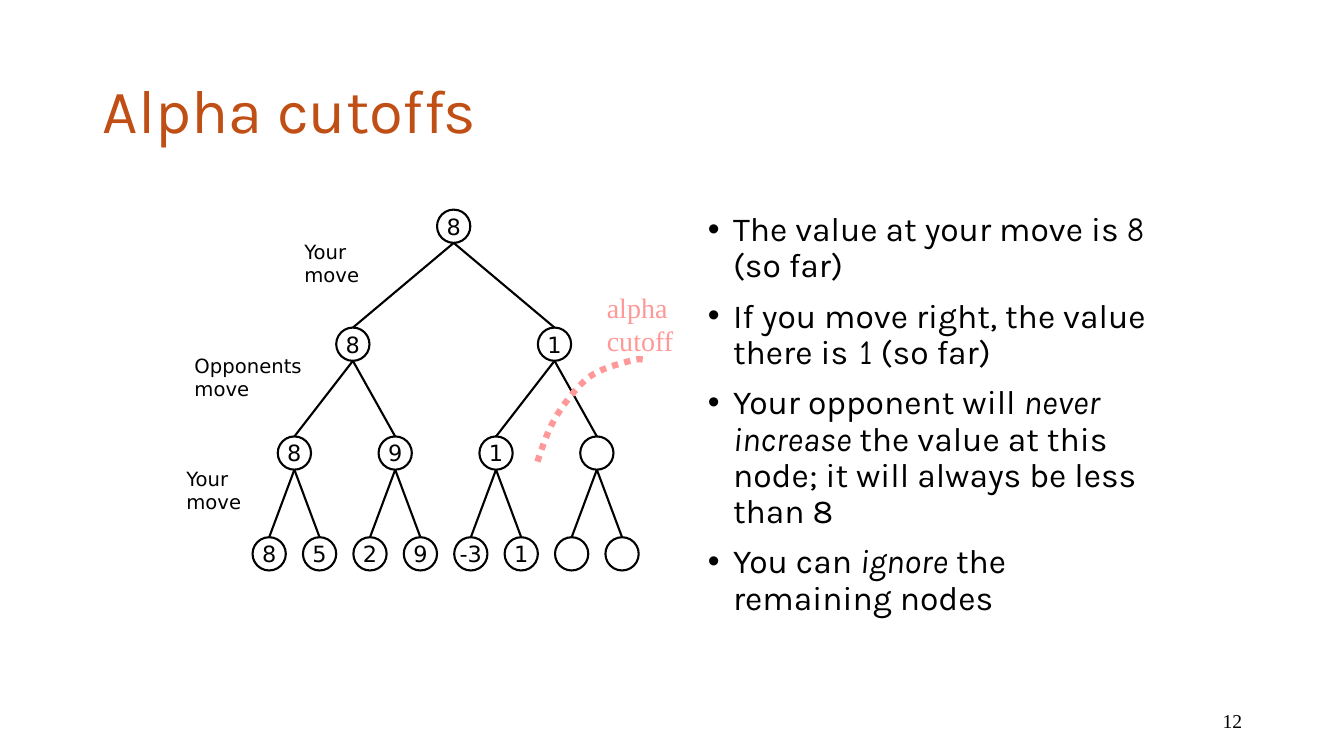
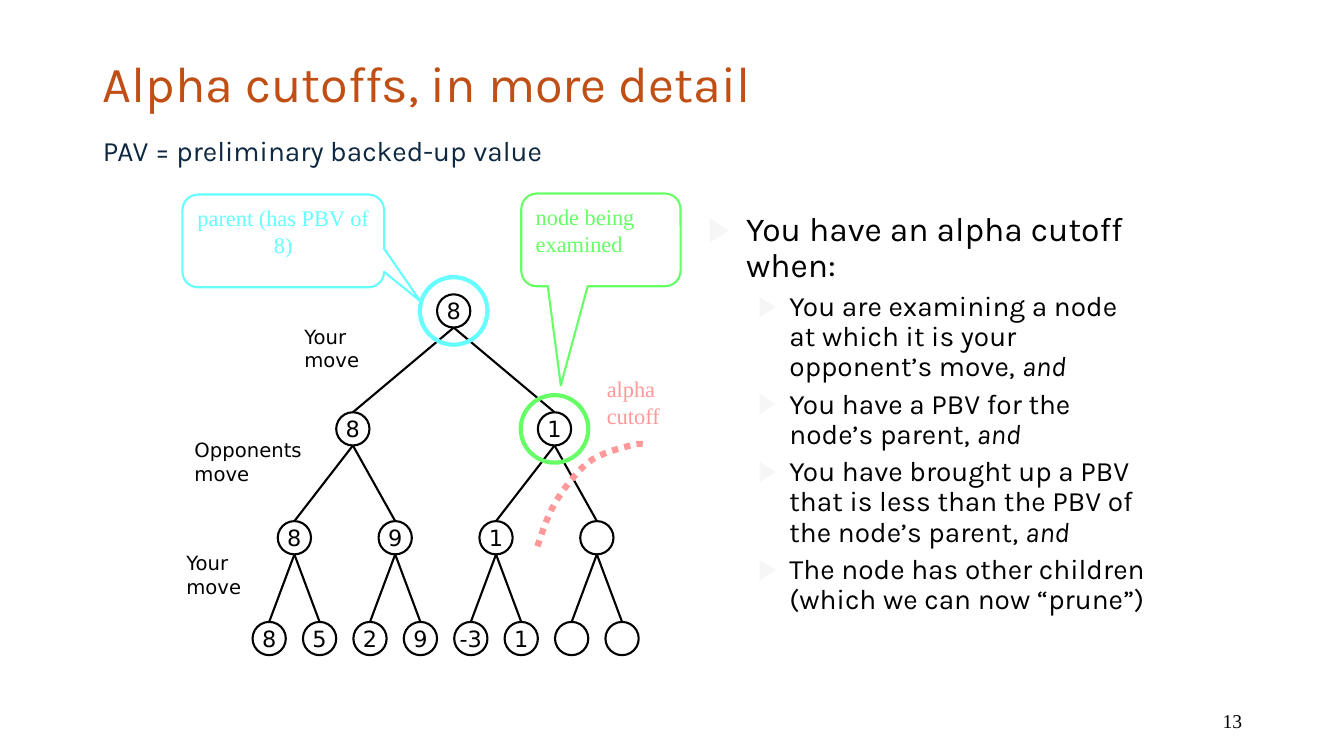
"""Build two slides on alpha cutoffs in a game tree."""
from dataclasses import dataclass
from lxml import etree
from pptx import Presentation
from pptx.dml.color import RGBColor
from pptx.enum import dml, shapes, text
from pptx.oxml import ns
from pptx.util import Inches, Pt


@dataclass(frozen=True)
class Theme:
    ink: str = "000000"
    title: str = "C04F15"
    subtitle: str = "0E2841"
    faint: str = "F6F6F6"
    cutoff: str = "FF9999"
    examined: str = "66FF66"
    parent: str = "66FFFF"
    sans: str = "Karla"
    hand: str = "Comic Neue"
    diagram: str = "DejaVu Sans"
    serif: str = "Times New Roman"
    subtitle_size: int = 20
    body_sizes: tuple = (24, 20)
    node_size: int = 16
    label_size: int = 14
    note_size: int = 16
    thin: float = 1.5
    ring: float = 3
    dotted: float = 4.5


THEME = Theme()
TITLE_BOX = (0.92, 0.4, 11.5, 1.45)
BODY_BOX = (6.92, 2.06, 4.58, 4.56)
NUMBER_BOX = (9.42, 6.95, 3, 0.4)
NODE = 0.33
RING = 0.67

LEVELS = [
    {"drop": 0, "first": 4.5, "gap": 0, "values": ["8"]},
    {"drop": 1.17, "first": 3.5, "gap": 2, "values": ["8", "1"]},
    {"drop": 2.25, "first": 2.92, "gap": 1, "values": ["8", "9", "1", ""]},
    {"drop": 3.25, "first": 2.67, "gap": 0.5,
     "values": ["8", "5", "2", "9", "-3", "1", "", ""]},
]
MOVES = [
    ("Your\nmove", 2.92, 0.25, 1),
    ("Opponents\nmove", 1.83, 1.38, 1.75),
    ("Your\nmove", 1.75, 2.5, 1),
]
CUTOFF_START = (5.33, 2.5)
CUTOFF_CURVES = [
    ((5.38, 2.36), (5.42, 2.22), (5.5, 2.08)),
    ((5.58, 1.94), (5.71, 1.77), (5.83, 1.67)),
    ((5.96, 1.57), (6.15, 1.53), (6.25, 1.5)),
    ((6.35, 1.47), (6.38, 1.49), (6.42, 1.5)),
]
CALLOUTS = [
    {"text": "node being examined", "box": (5.17, 1.92, 1.58, 0.92),
     "tail": (-0.252, 1.568, 0.167), "color": THEME.examined,
     "align": text.PP_ALIGN.LEFT, "node": (1, 1)},
    {"text": "parent (has PBV of 8)", "box": (1.81, 1.93, 2, 0.92),
     "tail": (0.68, 0.651, 0.167), "color": THEME.parent,
     "align": text.PP_ALIGN.CENTER, "node": (0, 0)},
]
DOTS = {"char": "•", "color": THEME.ink, "indents": [(0.25, 0.25)]}
ARROWS = {"char": "▶", "color": THEME.faint, "indents": [(0.38, 0.38), (0.81, 0.31)]}
SLIDES = [
    {
        "title": "Alpha cutoffs", "title_size": 44, "subtitle": "", "number": "12",
        "tree_top": 2.08, "cutoff_size": 20, "callouts": [], "bullets": DOTS,
        "body": [
            (0, [("The value at your move is ", ""), ("8", "hand"), (" (so far)", "")]),
            (0, [("If you move right, the value there is", ""), (" 1", "hand"),
                 (" (so far)", "")]),
            (0, [("Your opponent will ", ""), ("never increase", "italic"),
                 (" the value at this node; it will always be less than 8", "")]),
            (0, [("You can ", ""), ("ignore", "italic"), (" the remaining nodes", "")]),
        ],
    },
    {
        "title": "Alpha cutoffs, in more detail", "title_size": 36,
        "subtitle": "PAV = preliminary backed-up value", "number": "13",
        "tree_top": 2.92, "cutoff_size": 16, "callouts": CALLOUTS, "bullets": ARROWS,
        "body": [
            (0, [("You have an alpha cutoff when:", "")]),
            (1, [("You are examining a node at which it is your opponent’s move, ", ""),
                 ("and", "italic")]),
            (1, [("You have a PBV for the node’s parent, ", ""), ("and", "italic")]),
            (1, [("You have brought up a PBV that is less than the PBV of the node’s parent, ", ""),
                 ("and", "italic")]),
            (1, [("The node has other children (which we can now “prune”)", "")]),
        ],
    },
]


def inches(values):
    return [Inches(value) for value in values]


def style_run(run, size, face, color, italic=False):
    run.font.size = Pt(size)
    run.font.name = face
    run.font.color.rgb = RGBColor.from_string(color)
    run.font.italic = italic


def write(paragraph, words, size, face, color, align=text.PP_ALIGN.LEFT):
    paragraph.text = words
    paragraph.alignment = align
    for run in paragraph.runs:
        style_run(run, size, face, color)


def stroke(item, color, width):
    item.line.color.rgb = RGBColor.from_string(color)
    item.line.width = Pt(width)


def place(placeholder, box):
    placeholder.left, placeholder.top, placeholder.width, placeholder.height = inches(box)
    placeholder.text_frame.auto_size = text.MSO_AUTO_SIZE.NONE
    return placeholder.text_frame


def outline(group, kind, box, color, width):
    shape = group.shapes.add_shape(kind, *inches(box))
    shape.shadow.inherit = False
    shape.fill.background()
    stroke(shape, color, width)
    return shape


def circle(group, center, size, color, width):
    x, y = center
    box = (x - size / 2, y - size / 2, size, size)
    return outline(group, shapes.MSO_SHAPE.OVAL, box, color, width)


def label(parent, words, box, size, face, color, align=text.PP_ALIGN.LEFT):
    frame = parent.shapes.add_textbox(*inches(box)).text_frame
    frame.word_wrap = True
    write(frame.paragraphs[0], words, size, face, color, align)
    return frame


def add_title(slide, content):
    frame = place(slide.shapes.title, TITLE_BOX)
    frame.vertical_anchor = text.MSO_ANCHOR.MIDDLE
    write(frame.paragraphs[0], content["title"], content["title_size"],
          THEME.sans, THEME.title)
    if content["subtitle"]:
        subtitle = frame.add_paragraph()
        write(subtitle, content["subtitle"], THEME.subtitle_size, THEME.sans, THEME.subtitle)
        subtitle.space_before = Pt(17)
    for paragraph in frame.paragraphs:
        paragraph.line_spacing = 0.9


def add_bullet(paragraph, bullets, level):
    margin, hanging = bullets["indents"][level]
    properties = paragraph._p.get_or_add_pPr()
    properties.set("marL", str(Inches(margin)))
    properties.set("indent", str(-Inches(hanging)))
    tint = etree.SubElement(properties, ns.qn("a:buClr"))
    etree.SubElement(tint, ns.qn("a:srgbClr"), val=bullets["color"])
    etree.SubElement(properties, ns.qn("a:buFont"), typeface="Arial")
    etree.SubElement(properties, ns.qn("a:buChar"), char=bullets["char"])


def add_body(slide, content):
    frame = place(slide.placeholders[1], BODY_BOX)
    for index, (level, parts) in enumerate(content["body"]):
        paragraph = frame.add_paragraph() if index else frame.paragraphs[0]
        paragraph.level = level
        paragraph.line_spacing = 0.9
        paragraph.space_before = Pt((10, 5)[level] if index else 0)
        add_bullet(paragraph, content["bullets"], level)
        for words, style in parts:
            run = paragraph.add_run()
            run.text = words
            face = THEME.hand if style == "hand" else THEME.sans
            style_run(run, THEME.body_sizes[level], face, THEME.ink, style == "italic")


def node_center(level, index, top):
    row = LEVELS[level]
    return row["first"] + index * row["gap"], top + NODE / 2 + row["drop"]


def add_node(group, center, value):
    node = circle(group, center, NODE, THEME.ink, THEME.thin)
    if value:
        frame = node.text_frame
        frame.word_wrap = False
        frame.vertical_anchor = text.MSO_ANCHOR.MIDDLE
        write(frame.paragraphs[0], value, THEME.node_size, THEME.diagram, THEME.ink,
              text.PP_ALIGN.CENTER)


def add_edge(group, above, below):
    ends = inches((above[0], above[1] + NODE / 2, below[0], below[1] - NODE / 2))
    edge = group.shapes.add_connector(shapes.MSO_CONNECTOR.STRAIGHT, *ends)
    stroke(edge, THEME.ink, THEME.thin)
    etree.SubElement(edge._element.spPr, ns.qn("a:effectLst"))


def add_tree(slide, top):
    group = slide.shapes.add_group_shape()
    for level, row in enumerate(LEVELS):
        for index, value in enumerate(row["values"]):
            center = node_center(level, index, top)
            add_node(group, center, value)
            if level:
                add_edge(group, node_center(level - 1, index // 2, top), center)
    for words, left, drop, width in MOVES:
        label(group, words, (left, top + drop, width, 0.57),
              THEME.label_size, THEME.diagram, THEME.ink)


def curve_points(start, curves, steps=8):
    for first, second, end in curves:
        for step in range(1, steps + 1):
            t = step / steps
            weights = ((1 - t) ** 3, 3 * t * (1 - t) ** 2, 3 * t * t * (1 - t), t ** 3)
            corners = (start, first, second, end)
            yield tuple(sum(w * c[axis] for w, c in zip(weights, corners)) for axis in (0, 1))
        start = end


def add_cutoff(slide, top, size):
    group = slide.shapes.add_group_shape()
    x, y = CUTOFF_START
    builder = group.shapes.build_freeform(Inches(x), Inches(top + y))
    points = curve_points(CUTOFF_START, CUTOFF_CURVES)
    builder.add_line_segments([inches((px, top + py)) for px, py in points], close=False)
    arc = builder.convert_to_shape()
    arc.shadow.inherit = False
    arc.fill.background()
    stroke(arc, THEME.cutoff, THEME.dotted)
    arc.line.dash_style = dml.MSO_LINE.ROUND_DOT
    label(group, "alpha\ncutoff", (5.92, top + 0.75, 1.08, 0.77),
          size, THEME.serif, THEME.cutoff)


def add_callout(slide, callout, top):
    color = callout["color"]
    circle(slide, node_center(*callout["node"], top), RING, color, THEME.ring)
    bubble = outline(slide, shapes.MSO_SHAPE.ROUNDED_RECTANGULAR_CALLOUT,
                     callout["box"], color, THEME.thin)
    for index, amount in enumerate(callout["tail"]):
        bubble.adjustments[index] = amount
    frame = bubble.text_frame
    frame.word_wrap = True
    frame.vertical_anchor = text.MSO_ANCHOR.TOP
    write(frame.paragraphs[0], callout["text"], THEME.note_size, THEME.serif,
          color, callout["align"])


def main():
    deck = Presentation()
    deck.slide_width, deck.slide_height = Inches(13.33), Inches(7.5)
    for content in SLIDES:
        slide = deck.slides.add_slide(deck.slide_layouts[1])
        top = content["tree_top"]
        add_title(slide, content)
        add_body(slide, content)
        number = label(slide, content["number"], NUMBER_BOX, THEME.label_size,
                       THEME.serif, THEME.ink, text.PP_ALIGN.RIGHT)
        number.vertical_anchor = text.MSO_ANCHOR.MIDDLE
        add_tree(slide, top)
        add_cutoff(slide, top, content["cutoff_size"])
        for callout in content["callouts"]:
            add_callout(slide, callout, top)
    deck.save("out.pptx")


if __name__ == "__main__":
    main()
